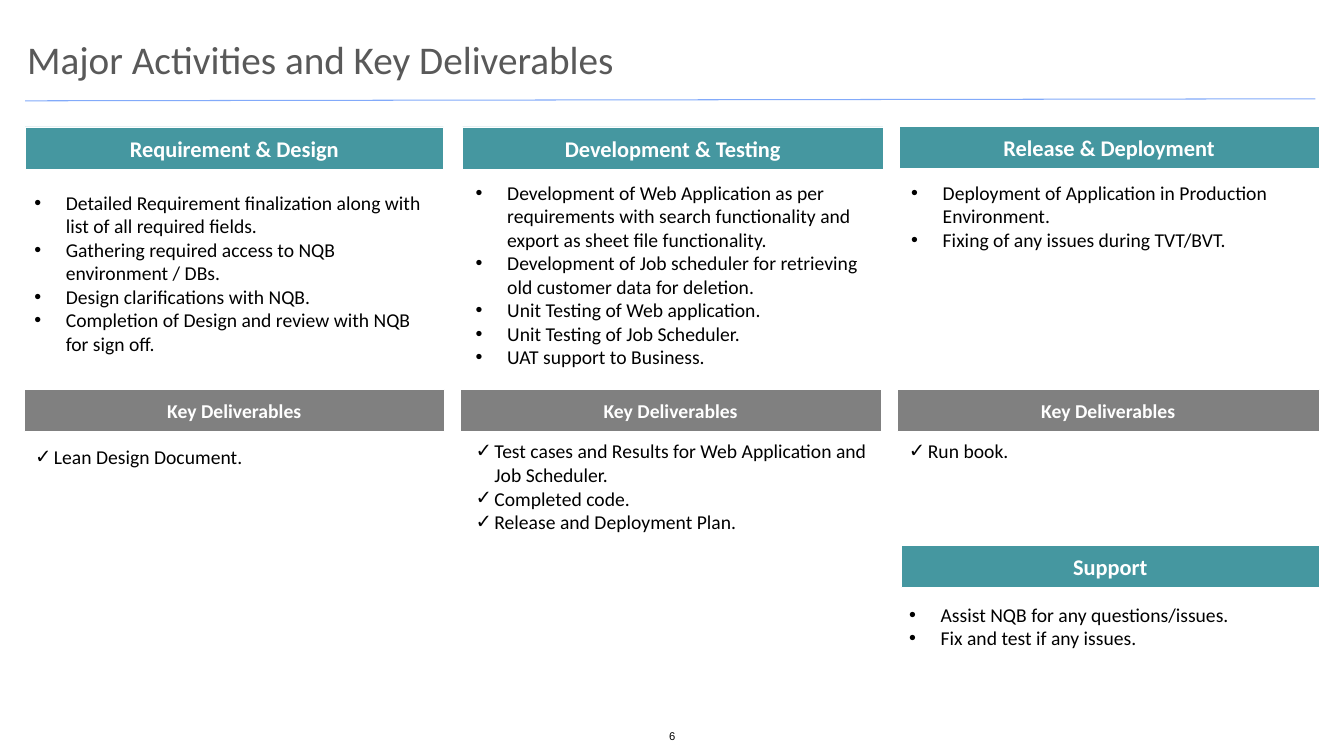
from lxml import etree
from pptx import Presentation
from pptx.dml.color import RGBColor
from pptx.enum.shapes import MSO_CONNECTOR, MSO_SHAPE
from pptx.enum.text import MSO_ANCHOR, MSO_AUTO_SIZE, PP_ALIGN
from pptx.oxml.ns import qn
from pptx.util import Pt

TEAL = RGBColor(0x45, 0x97, 0xA0)
GRAY = RGBColor(0x80, 0x80, 0x80)
TITLE_GRAY = RGBColor(0x59, 0x59, 0x59)
RULE_BLUE = RGBColor(0x82, 0xAA, 0xFA)
WHITE = RGBColor(0xFF, 0xFF, 0xFF)
BLACK = RGBColor(0, 0, 0)

# Content: boxes are (left, top, width, height) in points
TITLE = "Major Activities and Key Deliverables"
PAGE = "6"
BAR_HEIGHT = 30.2
DELIVERABLES_TOP = 277.9

# Heading, its (left, top, width), activities, their box
PHASES = [
    ("Requirement & Design", (18, 90.7, 298.8), [
        "Detailed Requirement finalization along with list of all required fields.",
        "Gathering required access to NQB environment / DBs.",
        "Design clarifications with NQB.",
        "Completion of Design and review with NQB for sign off.",
    ], (17.3, 132.5, 296.6, 126)),
    ("Development & Testing", (330.5, 90.7, 300.2), [
        "Development of Web Application as per requirements with search "
        "functionality and export as sheet file functionality.",
        "Development of Job scheduler for retrieving old customer data for deletion.",
        "Unit Testing of Web application.",
        "Unit Testing of Job Scheduler.",
        "UAT support to Business.",
    ], (332.6, 125.3, 293.8, 143.3)),
    ("Release & Deployment", (642.2, 90, 300.2), [
        "Deployment of Application in Production Environment.",
        "Fixing of any issues during TVT/BVT.",
    ], (643.7, 125.3, 297.4, 58.3)),
    ("Support", (643.7, 389.5, 298.8), [
        "Assist NQB for any questions/issues.",
        "Fix and test if any issues.",
    ], (642.2, 427, 300.2, 41)),
]

# Bar (left, width), deliverables, their box
DELIVERABLES = [
    ((17.3, 300.2), ["Lean Design Document."], (18, 314.6, 295.2, 24.5)),
    ((329, 300.2), [
        "Test cases and Results for Web Application and Job Scheduler.",
        "Completed code.",
        "Release and Deployment Plan.",
    ], (332.6, 310.3, 295.9, 74.9)),
    ((640.8, 301.7), ["Run book."], (642.2, 310.3, 298.8, 24.5)),
]


def points(box):
    return [Pt(value) for value in box]


def write(frame, lines, size=14, color=BLACK, font="Calibri", bold=False,
          align=PP_ALIGN.LEFT, anchor=MSO_ANCHOR.TOP, wrap=True,
          bullet=None, indent=0, inset=(7.2, 3.6)):
    """Fill a text frame with one formatted paragraph per line."""
    frame.auto_size = MSO_AUTO_SIZE.NONE
    frame.word_wrap = wrap
    frame.vertical_anchor = anchor
    frame.margin_left = frame.margin_right = Pt(inset[0])
    frame.margin_top = frame.margin_bottom = Pt(inset[1])
    for number, line in enumerate(lines):
        paragraph = frame.add_paragraph() if number else frame.paragraphs[0]
        paragraph.alignment = align
        paragraph.line_spacing = 1.0
        paragraph.space_before = paragraph.space_after = Pt(0)
        run = paragraph.add_run()
        run.text = line
        run.font.size = Pt(size)
        run.font.name = font
        run.font.bold = bold
        run.font.color.rgb = color
        if bullet:
            properties = paragraph._p.get_or_add_pPr()
            properties.set("marL", str(Pt(indent)))
            properties.set("indent", str(-Pt(indent)))
            etree.SubElement(properties, qn("a:buFont")).set("typeface", "Arial")
            etree.SubElement(properties, qn("a:buChar")).set("char", bullet)


def add_bar(slide, text, left, top, width, fill, size):
    bar = slide.shapes.add_shape(MSO_SHAPE.RECTANGLE,
                                 *points((left, top, width, BAR_HEIGHT)))
    bar.shadow.inherit = False
    bar.fill.solid()
    bar.fill.fore_color.rgb = fill
    bar.line.color.rgb = WHITE
    bar.line.width = Pt(0.25)
    write(bar.text_frame, [text], size=size, color=WHITE, bold=True,
          align=PP_ALIGN.CENTER, anchor=MSO_ANCHOR.MIDDLE, wrap=False)


def place(placeholder, box):
    (placeholder.left, placeholder.top,
     placeholder.width, placeholder.height) = points(box)


def main():
    deck = Presentation()
    deck.slide_width, deck.slide_height = Pt(960), Pt(540)
    # The comparison layout has a title and four bodies, one per phase
    slide = deck.slides.add_slide(deck.slide_layouts[4])
    title, *bodies = slide.placeholders

    # Title and the rule below it
    place(title, (15.8, 12.2, 679.7, 59))
    write(title.text_frame, [TITLE], size=28, color=TITLE_GRAY,
          anchor=MSO_ANCHOR.MIDDLE, inset=(3.6, 3.6))
    rule = slide.shapes.add_connector(MSO_CONNECTOR.STRAIGHT,
                                      *points((18, 72, 939.6, 70.6)))
    rule.line.color.rgb = RULE_BLUE
    rule.line.width = Pt(0.75)
    etree.SubElement(rule._element.spPr, qn("a:effectLst"))

    # Phases with their activities
    for body, (heading, (left, top, width), activities, box) in zip(bodies, PHASES):
        add_bar(slide, heading, left, top, width, TEAL, 16)
        place(body, box)
        write(body.text_frame, activities, bullet="•", indent=22.5)

    # Key deliverables
    for (left, width), items, box in DELIVERABLES:
        add_bar(slide, "Key Deliverables", left, DELIVERABLES_TOP, width, GRAY, 14)
        checklist = slide.shapes.add_textbox(*points(box))
        write(checklist.text_frame, items, bullet="✓", indent=13.5)

    # Page number
    page = slide.shapes.add_textbox(*points((475.2, 521.3, 10, 9.4)))
    write(page.text_frame, [PAGE], size=8, font="Arial", align=PP_ALIGN.CENTER,
          anchor=MSO_ANCHOR.MIDDLE, wrap=False, inset=(0, 0))

    deck.save("out.pptx")


if __name__ == "__main__":
    main()
